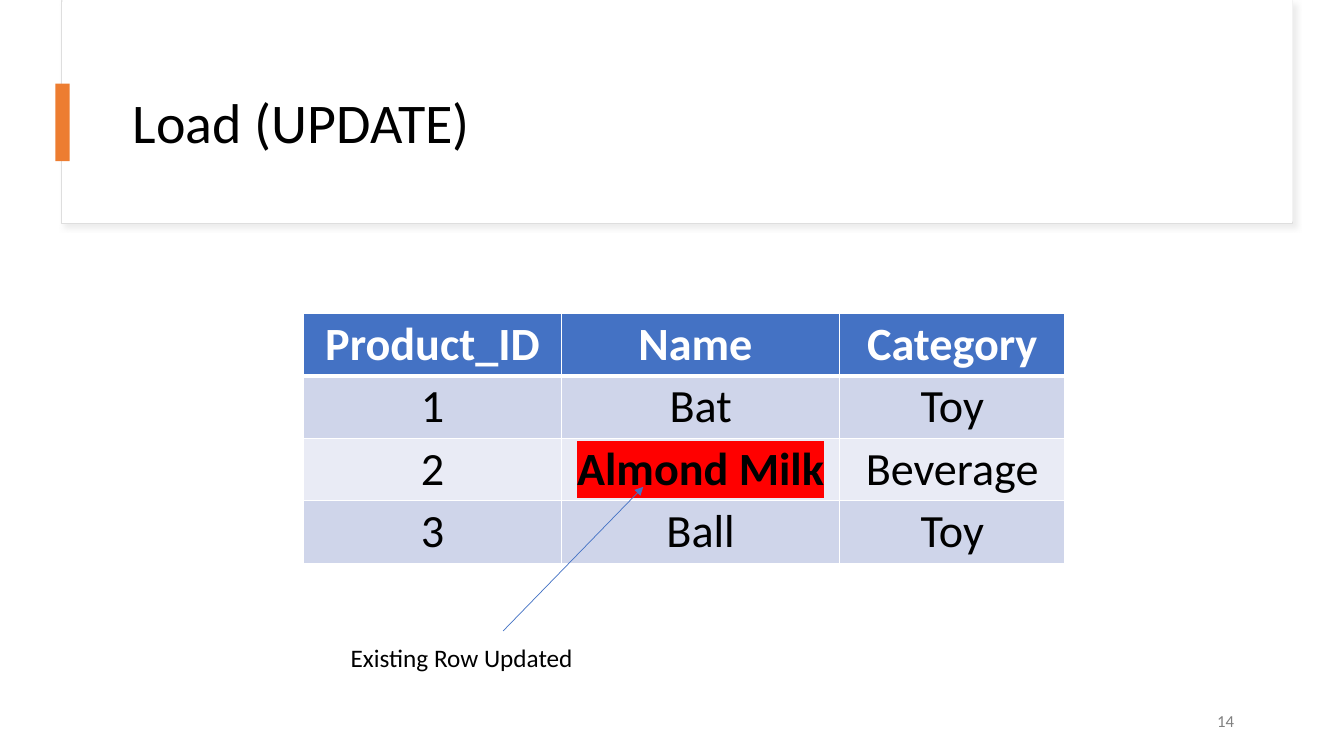
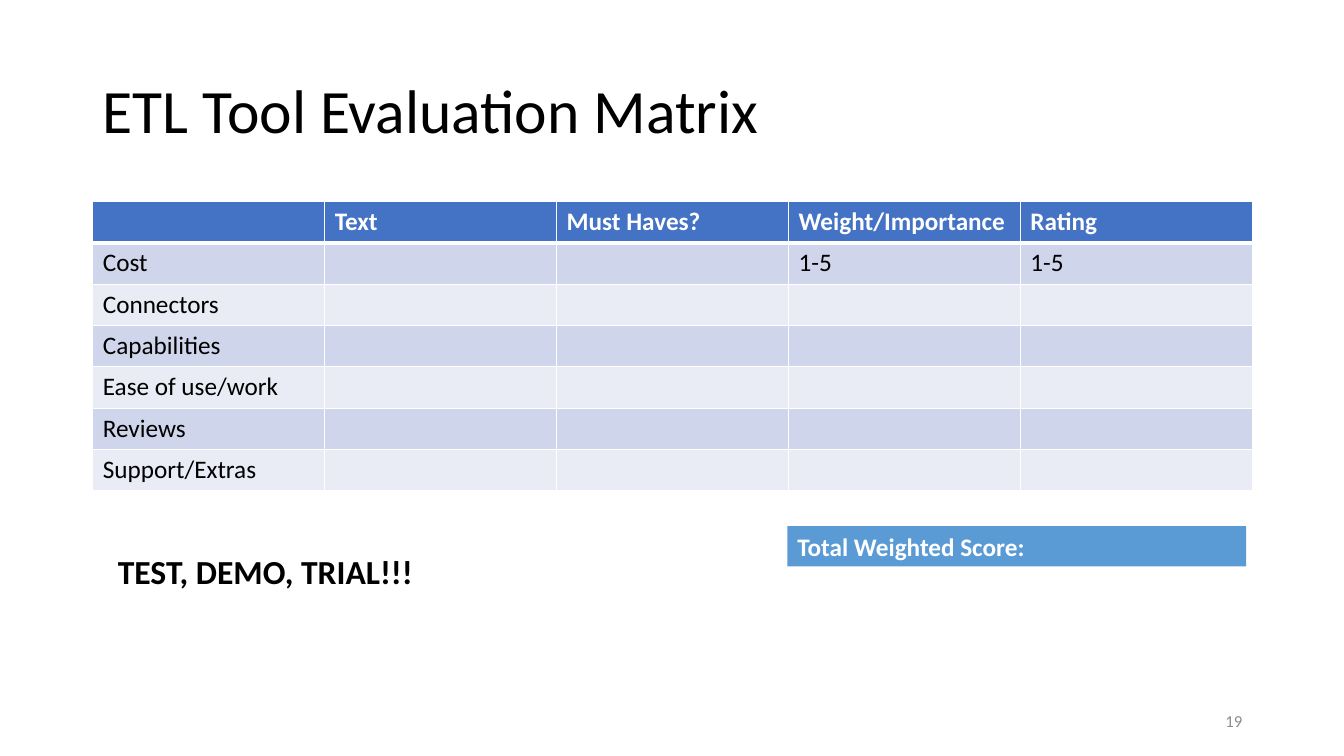
from lxml import etree
from pptx import Presentation
from pptx.dml.color import RGBColor
from pptx.enum.shapes import MSO_CONNECTOR, MSO_SHAPE
from pptx.enum.text import MSO_ANCHOR, MSO_AUTO_SIZE, PP_ALIGN
from pptx.oxml.ns import qn
from pptx.util import Inches, Pt

RECT = MSO_SHAPE.RECTANGLE
STRAIGHT = MSO_CONNECTOR.STRAIGHT
TOP, MIDDLE = MSO_ANCHOR.TOP, MSO_ANCHOR.MIDDLE
GROW = MSO_AUTO_SIZE.SHAPE_TO_FIT_TEXT
LEFT, CENTER, RIGHT = PP_ALIGN.LEFT, PP_ALIGN.CENTER, PP_ALIGN.RIGHT

BLACK = RGBColor(0x00, 0x00, 0x00)
WHITE = RGBColor(0xFF, 0xFF, 0xFF)
BLUE = RGBColor(0x44, 0x72, 0xC4)
SKY = RGBColor(0x5B, 0x9B, 0xD5)
ORANGE = RGBColor(0xED, 0x7D, 0x31)
RED = RGBColor(0xFF, 0x00, 0x00)
BAND_DARK = RGBColor(0xCF, 0xD5, 0xEA)
BAND_LIGHT = RGBColor(0xE9, 0xEB, 0xF5)
CARD_EDGE = RGBColor(0xDE, 0xDE, 0xDE)
CARD_SHADOW = RGBColor(0xD9, 0xD9, 0xD9)
GREY = RGBColor(0x80, 0x80, 0x80)
LIGHT_GREY = RGBColor(0x8C, 0x8C, 0x8C)


def apply(target, values):
    for name, value in values.items():
        setattr(target, name, value)


def add_color(parent, color):
    return etree.SubElement(parent, qn("a:srgbClr"), val=str(color))


class Deck:
    """Holds the shared style and the slide being built."""

    font_name = "Calibri"

    def __init__(self):
        self.prs = Presentation()
        apply(self.prs, {"slide_width": Inches(13.33), "slide_height": Inches(7.5)})
        self.shapes = None

    def new_slide(self):
        self.shapes = self.prs.slides.add_slide(self.prs.slide_layouts[6]).shapes

    def add_words(self, frame, text, size, color=BLACK, bold=False, align=LEFT,
                  **paragraph_format):
        paragraph = frame.paragraphs[0]
        apply(paragraph, {"alignment": align, **paragraph_format})
        run = paragraph.add_run()
        run.text = text
        apply(run.font, {"name": self.font_name, "size": Pt(size), "bold": bold})
        run.font.color.rgb = color
        return run

    def text(self, box, text, size, anchor=TOP, auto_size=GROW, fill=None, **style):
        area = map(Inches, box)
        holder = self.rect(box, fill) if fill else self.shapes.add_textbox(*area)
        frame = holder.text_frame
        apply(frame, {"word_wrap": True, "vertical_anchor": anchor, "auto_size": auto_size})
        self.add_words(frame, text, size, **style)

    def title(self, box, text, size):
        self.text(box, text, size, anchor=MIDDLE, auto_size=None, line_spacing=0.9)

    def page_number(self, left, number, color):
        self.text((left, 6.95, 3, 0.4), str(number), 12, anchor=MIDDLE, auto_size=None,
                  color=color, align=RIGHT, space_after=Pt(6))

    def rect(self, box, fill, edge=None):
        shape = self.shapes.add_shape(RECT, *map(Inches, box))
        shape.shadow.inherit = False
        shape.fill.solid()
        shape.fill.fore_color.rgb = fill
        if edge:
            shape.line.color.rgb = edge
            shape.line.width = Pt(0.75)
        else:
            shape.line.fill.background()
        return shape

    def card(self, box):
        card = self.rect(box, WHITE, CARD_EDGE)
        effects = card._element.spPr.find(qn("a:effectLst"))
        shadow = etree.SubElement(effects, qn("a:outerShdw"), blurRad=str(Pt(4)),
                                  dist=str(Pt(3)), dir=str(45 * 60000),
                                  algn="tl", rotWithShape="0")
        etree.SubElement(add_color(shadow, CARD_SHADOW), qn("a:alpha"), val="50000")

    def arrow(self, start, end, color, width):
        arrow = self.shapes.add_connector(STRAIGHT, *map(Inches, start + end))
        arrow.line.color.rgb = color
        arrow.line.width = Pt(width)
        outline = arrow._element.spPr.find(qn("a:ln"))
        etree.SubElement(outline, qn("a:tailEnd"), type="triangle")
        etree.SubElement(arrow._element.spPr, qn("a:effectLst"))

    def borders(self, cell, top, bottom):
        properties = cell._tc.get_or_add_tcPr()
        widths = {"a:lnL": 1, "a:lnR": 1, "a:lnT": top, "a:lnB": bottom}
        for position, (side, width) in enumerate(widths.items()):
            line = etree.Element(qn(side), w=str(Pt(width)))
            add_color(etree.SubElement(line, qn("a:solidFill")), WHITE)
            properties.insert(position, line)

    def highlight(self, run, color):
        mark = etree.Element(qn("a:highlight"))
        add_color(mark, color)
        run._r.rPr.find(qn("a:solidFill")).addnext(mark)

    def table(self, left, top, widths, row_height, rows, size,
              align=LEFT, cell_format=None, marked=None):
        frame = self.shapes.add_table(len(rows), len(widths), Inches(left), Inches(top),
                                      Inches(sum(widths)), Inches(row_height * len(rows)))
        table = frame.table
        for column, width in zip(table.columns, widths):
            column.width = Inches(width)
        for r, values in enumerate(rows):
            table.rows[r].height = Inches(row_height)
            header = r == 0
            fill = BLUE if header else BAND_DARK if r % 2 else BAND_LIGHT
            for c, value in enumerate(values):
                cell = table.cell(r, c)
                apply(cell, cell_format or {})
                cell.fill.solid()
                cell.fill.fore_color.rgb = fill
                self.borders(cell, top=3 if r == 1 else 1, bottom=3 if header else 1)
                if value:
                    is_marked = value == marked
                    run = self.add_words(cell.text_frame, value, size,
                                         WHITE if header else BLACK,
                                         header or is_marked, align)
                    if is_marked:
                        self.highlight(run, RED)


def load_update(deck):
    deck.new_slide()

    # Title card with accent bar
    deck.card((0.61, 0.01, 12.21, 2.21))
    deck.rect((0.62, 0, 12.2, 2.2), WHITE)
    deck.title((1.22, 0.6, 11.12, 1.29), "Load (UPDATE)", 40)
    deck.rect((0.55, 0.83, 0.14, 0.77), ORANGE)
    deck.page_number(9.34, 14, GREY)

    # Product table
    products = [
        ("Product_ID", "Name ", "Category"),
        ("1", "Bat", "Toy"),
        ("2", "Almond Milk", "Beverage"),
        ("3", "Ball", "Toy"),
    ]
    tight = {"vertical_anchor": MIDDLE, "margin_left": 0, "margin_right": 0,
             "margin_top": 0, "margin_bottom": 0}
    deck.table(3.01, 3.11, (2.56, 2.76, 2.23), 0.62, products, 33,
               align=CENTER, cell_format=tight, marked="Almond Milk")

    # Callout on the updated row
    deck.arrow((4.99, 6.26), (6.38, 4.83), BLUE, 0.5)
    deck.text((3.38, 6.32, 2.8, 0.4), "Existing Row Updated", 18)


def evaluation_matrix(deck):
    deck.new_slide()
    deck.title((0.92, 0.4, 11.5, 1.45), "ETL Tool Evaluation Matrix", 44)

    # Criteria table
    criteria = ("Connectors", "Capabilities", "Ease of use/work", "Reviews", "Support/Extras")
    matrix = [
        ("", "Text", "Must Haves?", "Weight/Importance", "Rating"),
        ("Cost", "", "", "1-5", "1-5"),
        *((criterion, "", "", "", "") for criterion in criteria),
    ]
    deck.table(0.92, 2, (2.3,) * 5, 0.41, matrix, 18)
    deck.page_number(9.42, 19, LIGHT_GREY)

    # Score and reminder
    deck.text((7.81, 5.22, 4.55, 0.4), "Total Weighted Score:", 18,
              fill=SKY, color=WHITE, bold=True)
    deck.text((1.07, 5.42, 5.55, 0.5), "TEST, DEMO, TRIAL!!!", 24, bold=True)


def main():
    deck = Deck()
    load_update(deck)
    evaluation_matrix(deck)
    deck.prs.save("out.pptx")


if __name__ == "__main__":
    main()
